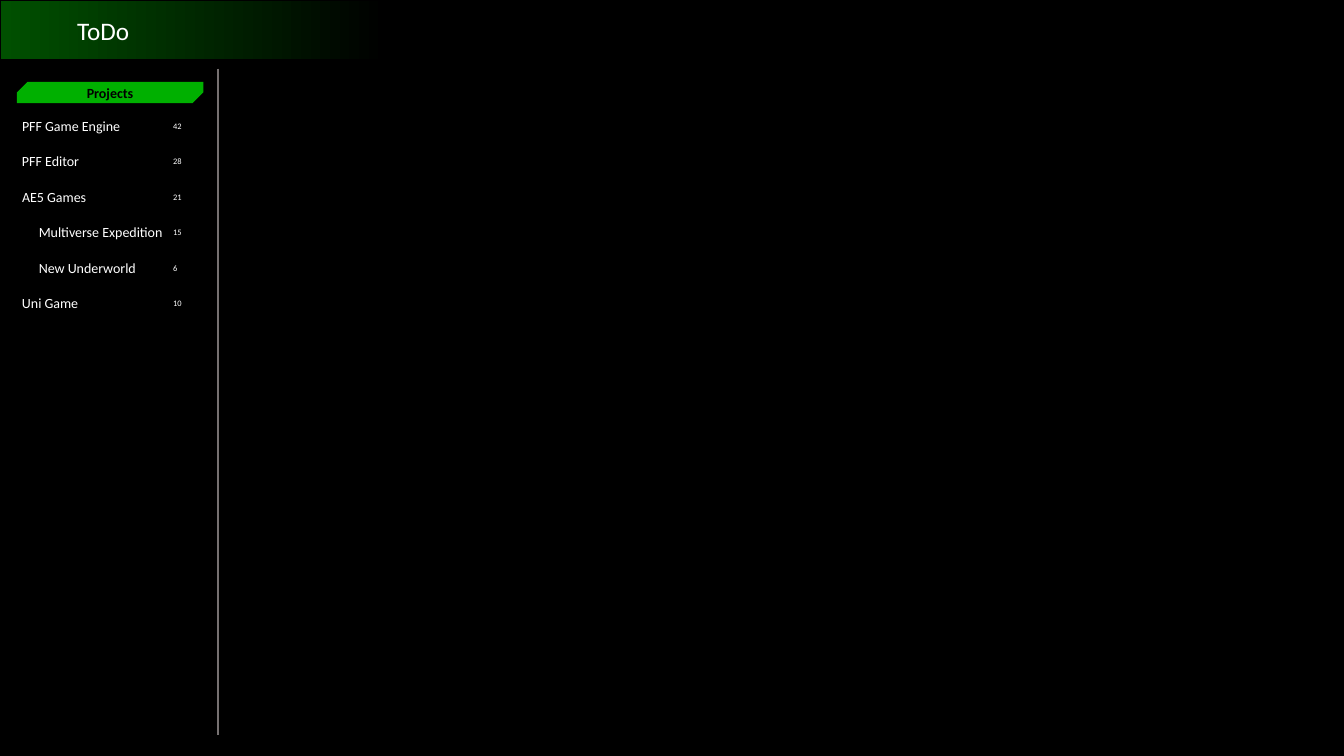
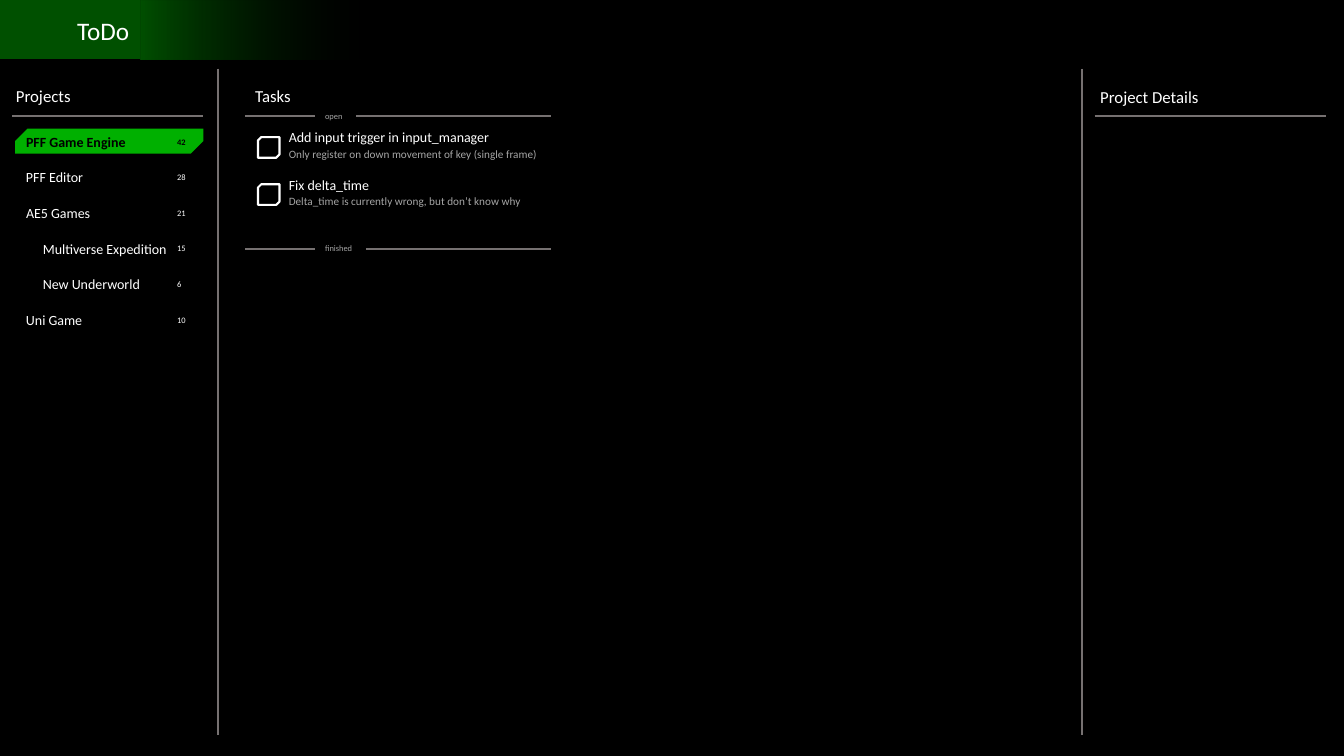
"""Build two screens of a to-do application on a grid of 40 columns by 30 rows."""
from lxml import etree
from pptx import Presentation
from pptx import util as u
from pptx.dml.color import RGBColor
from pptx.enum import shapes, text
from pptx.oxml.ns import qn

BLACK = RGBColor(0x00, 0x00, 0x00)
WHITE = RGBColor(0xFF, 0xFF, 0xFF)
DARK_GREEN = RGBColor(0x00, 0x50, 0x00)
GREEN = RGBColor(0x00, 0xB0, 0x00)
LINE_GRAY = RGBColor(0x76, 0x71, 0x71)
TEXT_GRAY = RGBColor(0xA6, 0xA6, 0xA6)
FONT = "Calibri"

deck = Presentation()
deck.slide_width, deck.slide_height = u.Inches(13.333), u.Inches(7.5)
COLUMN = deck.slide_width / 40
ROW = deck.slide_height / 30
RECTANGLE = shapes.MSO_SHAPE.RECTANGLE
SNIPPED = shapes.MSO_SHAPE.SNIP_2_DIAG_RECTANGLE


def write(parent, content, column, row, columns, size, color=WHITE, bold=False):
    """Add one line of text in a box as tall as the line needs."""
    height = u.Pt(size * 1.22) + u.Inches(0.1)
    box = parent.shapes.add_textbox(
        round(column * COLUMN), round(row * ROW), round(columns * COLUMN), height)
    box.text_frame.word_wrap = True
    box.text_frame.text = content
    font = box.text_frame.paragraphs[0].runs[0].font
    font.name, font.size, font.bold = FONT, u.Pt(size), bold
    font.color.rgb = color


def draw(parent, kind, column, row, columns, rows, fill=None, snip=None):
    """Add a shape without outline; a snip cuts two opposite corners."""
    shape = parent.shapes.add_shape(
        kind, round(column * COLUMN), round(row * ROW),
        round(columns * COLUMN), round(rows * ROW))
    shape.shadow.inherit = False
    shape.line.fill.background()
    if fill is None:
        shape.fill.background()
    else:
        shape.fill.solid()
        shape.fill.fore_color.rgb = fill
    if snip is not None:
        shape.adjustments[0], shape.adjustments[1] = snip, 0
    return shape


overview, details = [deck.slides.add_slide(deck.slide_layouts[6]) for _ in range(2)]

projects = [
    ("PFF Game Engine", 42, 0, 4.3),
    ("PFF Editor", 28, 0, 2.4),
    ("AE5 Games", 21, 0, 2.6),
    ("Multiverse Expedition", 15, 0.5, 4.4),
    ("New Underworld", 6, 0.5, 3.6),
    ("Uni Game", 10, 0, 2.4),
]
TOP, BOTTOM, HEADING_LINE, FINISHED_LINE = 2.72, 29.16, 4.6, 9.88
sidebar_edge = (6.5, TOP, 6.5, BOTTOM)

tab = draw(overview, SNIPPED, 0.5, 3.25, 5.55, 0.84, GREEN, snip=0.5)
tab.text_frame.text = "Projects"
tab.text_frame.vertical_anchor = text.MSO_ANCHOR.MIDDLE
tab_label = tab.text_frame.paragraphs[0]
tab_label.alignment = text.PP_ALIGN.CENTER
tab_font = tab_label.runs[0].font
tab_font.name, tab_font.size, tab_font.bold = FONT, u.Pt(10), True
tab_font.color.rgb = BLACK

draw(details, RECTANGLE, 0, 0, 4.18, 2.34, DARK_GREEN)
draw(details, SNIPPED, 0.45, 5.1, 5.6, 1, GREEN, snip=0.5)

screens = [
    (overview, 0.03, 11.64, 0.36, 4.45, None, [sidebar_edge]),
    (details, 4.2, 7.5, 0.48, 5.1, "PFF Game Engine", [
        sidebar_edge,
        (32.2, TOP, 32.2, BOTTOM),
        (0.36, HEADING_LINE, 6.04, HEADING_LINE),
        (7.3, HEADING_LINE, 9.38, HEADING_LINE),
        (10.6, HEADING_LINE, 16.4, HEADING_LINE),
        (7.3, FINISHED_LINE, 9.38, FINISHED_LINE),
        (10.9, FINISHED_LINE, 16.4, FINISHED_LINE),
        (32.58, HEADING_LINE, 39.48, HEADING_LINE),
    ]),
]
for page, fade_left, fade_columns, list_left, list_top, selected, lines in screens:
    page.background.fill.solid()
    page.background.fill.fore_color.rgb = BLACK

    fade = draw(page, RECTANGLE, fade_left, 0.03, fade_columns, 2.33, DARK_GREEN)
    fade.fill.gradient()
    fade.fill.gradient_angle = 180
    for stop, color, position in zip(
            fade.fill.gradient_stops, (BLACK, DARK_GREEN), (0.01, 1)):
        stop.color.rgb, stop.position = color, position
    if page is details:
        clear_color = next(fade.element.iter(qn("a:srgbClr")))
        etree.SubElement(clear_color, qn("a:alpha"), val="0")
    write(page, "ToDo", 2, 0.4, 2.2, 18)

    for index, (name, count, indent, columns) in enumerate(projects):
        group = page.shapes.add_group_shape()
        chosen = name == selected
        color = BLACK if chosen else WHITE
        row = list_top + index * 1.41
        write(group, str(count), list_left + 4.5, row + 0.14, 1, 6, color, chosen)
        write(group, name, list_left + indent, row, columns, 10, color, chosen)

    for left, top, right, bottom in lines:
        line = page.shapes.add_connector(
            shapes.MSO_CONNECTOR.STRAIGHT, round(left * COLUMN), round(top * ROW),
            round(right * COLUMN), round(bottom * ROW))
        line.line.color.rgb, line.line.width = LINE_GRAY, u.Pt(1.5)
        etree.SubElement(line.element.spPr, qn("a:effectLst"))

for heading, column, row, columns in [
        ("Projects", 0.18, 3.2, 2.4),
        ("Tasks", 7.3, 3.2, 4),
        ("Project Details", 32.45, 3.24, 3.6)]:
    write(details, heading, column, row, columns, 12)

for state, row, columns in [("open", 4.2, 1.2), ("finished", 9.45, 1.54)]:
    write(details, state, 9.38, row, columns, 6, TEXT_GRAY)

tasks = [
    ("Add input trigger in input_manager",
     "Only register on down movement of key (single frame)"),
    ("Fix delta_time", "Delta_time is currently wrong, but don’t know why"),
]
for index, (task, remark) in enumerate(tasks):
    group = details.shapes.add_group_shape()
    row = 4.92 + index * 1.87
    checkbox = draw(group, SNIPPED, 7.68, row + 0.52, 0.64, 0.82, snip=0.16)
    checkbox.line.color.rgb, checkbox.line.width = WHITE, u.Pt(1.5)
    write(group, task, 8.3, row, 10.3, 10)
    write(group, remark, 8.3, row + 0.72, 10.3, 8, TEXT_GRAY)

deck.save("out.pptx")
